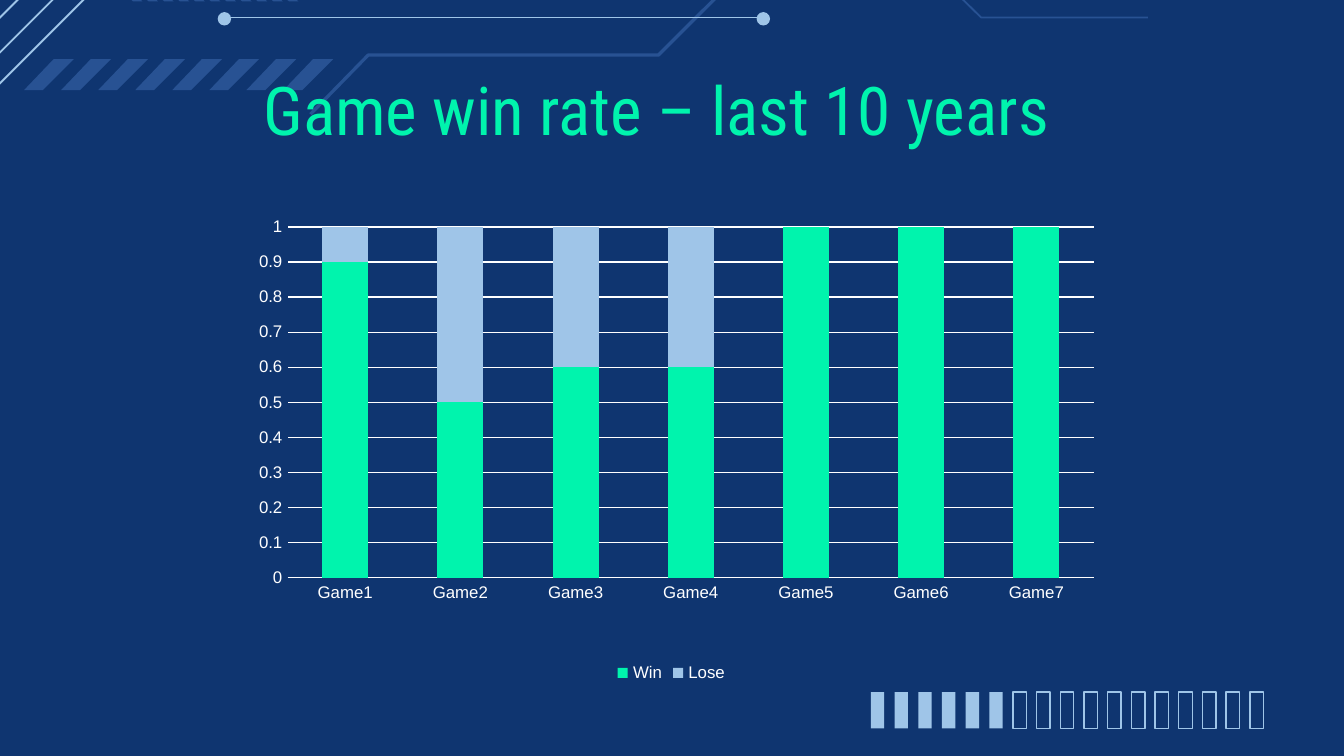
from dataclasses import dataclass

from lxml import etree
from pptx import Presentation
from pptx import util as u
from pptx.chart.data import CategoryChartData
from pptx.dml.color import RGBColor
from pptx.enum import chart as ch
from pptx.enum import shapes, text
from pptx.oxml.ns import qn

Inches = u.Inches


@dataclass(frozen=True)
class Theme:
    navy: RGBColor = RGBColor(0x0F, 0x35, 0x70)
    blue: RGBColor = RGBColor(0x28, 0x52, 0x93)
    sky: RGBColor = RGBColor(0x9F, 0xC5, 0xE8)
    green: RGBColor = RGBColor(0x00, 0xF4, 0xAD)
    white: RGBColor = RGBColor(0xFF, 0xFF, 0xFF)
    title_font: str = "Roboto Condensed"
    chart_font: str = "Arial"
    title_size: u.Pt = u.Pt(36)
    chart_size: u.Pt = u.Pt(10)
    label_size: u.Pt = u.Pt(9)
    hairline: u.Pt = u.Pt(0.75)
    thin: u.Pt = u.Pt(1)
    thick: u.Pt = u.Pt(1.75)


THEME = Theme()


def spread(first, last, count):
    """Equally spaced positions from first to last."""
    return [first + i * (last - first) / (count - 1) for i in range(count)]


def paint(shape, fill=None, line=None, width=None):
    shape.shadow.inherit = False
    if fill is None:
        shape.fill.background()
    else:
        shape.fill.solid()
        shape.fill.fore_color.rgb = fill
    if line is None:
        shape.line.fill.background()
    else:
        shape.line.color.rgb = line
        shape.line.width = width


def add_outline(slide, points, closed):
    points = [(Inches(x), Inches(y)) for x, y in points]
    builder = slide.shapes.build_freeform(*points[0])
    builder.add_line_segments(points[1:], close=closed)
    return builder.convert_to_shape()


def add_circuit(slide, points, color, width):
    paint(add_outline(slide, points, closed=False), line=color, width=width)


def add_row(slide, outline, offsets, color):
    """Repeat one filled outline at each horizontal offset."""
    for dx in offsets:
        moved = [(x + dx, y) for x, y in outline]
        paint(add_outline(slide, moved, closed=True), fill=color)


def add_line(slide, start, end, color, width):
    line = slide.shapes.add_connector(
        shapes.MSO_CONNECTOR.STRAIGHT, *map(Inches, start + end))
    line.line.color.rgb = color
    line.line.width = width
    etree.SubElement(line._element.spPr, qn("a:effectLst"))


def add_header_decor(slide):
    # Circuit traces
    add_circuit(slide, [(-0.19, 0.81), (1.27, -0.65), (2.59, -0.65), (3.14, -0.1),
                        (4.49, -0.1), (5.29, -0.9), (6.04, -0.9)], THEME.sky, THEME.thin)
    add_circuit(slide, [(2.31, 0.85), (2.74, 0.41), (4.9, 0.41), (5.46, -0.15),
                        (6.46, -0.15)], THEME.blue, THEME.thick)
    add_circuit(slide, [(8.54, 0.13), (7.3, 0.13), (6.78, -0.38), (5.85, -0.38)],
                THEME.blue, THEME.thin)

    # Bar with a dot at each end
    add_line(slide, (1.66, 0.13), (5.65, 0.13), THEME.sky, THEME.thin)
    for left in (5.63, 1.62):
        dot = slide.shapes.add_shape(shapes.MSO_SHAPE.OVAL, Inches(left), Inches(0.09),
                                     Inches(0.1), Inches(0.1))
        paint(dot, fill=THEME.sky)

    # Diagonals in the corner
    add_line(slide, (-0.43, 0.82), (1.05, -0.66), THEME.sky, THEME.thin)
    add_line(slide, (-0.61, 0.74), (0.87, -0.74), THEME.sky, THEME.thin)

    # Slashes and chevrons
    slash = [(0.14, 0.67), (0.37, 0.44), (0.22, 0.44), (0, 0.67)]
    add_row(slide, slash, spread(0.18, 2.11, 8), THEME.blue)
    chevron = [(0.19, 0.01), (0.07, -0.09), (0.18, -0.19),
               (0.1, -0.19), (0, -0.09), (0.12, 0.01)]
    add_row(slide, chevron, spread(2.03, 0.87, 11), THEME.blue)


def add_progress_cells(slide, filled=6, total=17):
    for i, left in enumerate(spread(6.48, 9.3, total)):
        cell = slide.shapes.add_shape(shapes.MSO_SHAPE.RECTANGLE, Inches(left), Inches(5.15),
                                      Inches(0.1), Inches(0.27))
        if i < filled:
            paint(cell, fill=THEME.sky)
        else:
            paint(cell, line=THEME.sky, width=THEME.hairline)


def set_title(slide, wording):
    title = slide.shapes.title
    title.left, title.top = Inches(0.79), Inches(0.51)
    title.width, title.height = Inches(8.43), Inches(0.53)
    frame = title.text_frame
    frame.text = wording
    frame.word_wrap = True
    frame.auto_size = text.MSO_AUTO_SIZE.NONE
    frame.vertical_anchor = text.MSO_ANCHOR.TOP
    frame.margin_left = frame.margin_top = frame.margin_bottom = 0
    frame.margin_right = Inches(0.24)
    heading = frame.paragraphs[0]
    heading.alignment = text.PP_ALIGN.CENTER
    style_font(heading.runs[0].font, THEME.title_font, THEME.title_size, THEME.green)
    # Bring the title in front of the decoration
    slide.shapes._spTree.append(title._element)


def style_font(font, name, size, color):
    font.name, font.size = name, size
    font.color.rgb = color


def place_plot(chart, x, y, w, h):
    """Fix the inner plot area as fractions of the chart."""
    plot_area = chart._chartSpace.chart.plotArea
    for old in plot_area.findall(qn("c:layout")):
        plot_area.remove(old)
    layout = etree.Element(qn("c:layout"))
    manual = etree.SubElement(layout, qn("c:manualLayout"))
    settings = {"layoutTarget": "inner", "xMode": "edge", "yMode": "edge",
                "x": x, "y": y, "w": w, "h": h}
    for tag, value in settings.items():
        etree.SubElement(manual, qn(f"c:{tag}")).set("val", str(value))
    plot_area.insert(0, layout)


def add_win_chart(slide, games, results):
    width, height = 6.71, 4.21
    data = CategoryChartData()
    data.categories = games
    for name, (rates, _) in results.items():
        data.add_series(name, rates)
    chart = slide.shapes.add_chart(
        ch.XL_CHART_TYPE.COLUMN_STACKED, Inches(1.64), Inches(0.91),
        Inches(width), Inches(height), data).chart
    chart.has_title = False
    style_font(chart.font, THEME.chart_font, THEME.chart_size, THEME.white)

    # Columns
    plot = chart.plots[0]
    plot.gap_width, plot.overlap = 150, 100
    plot.vary_by_categories = False
    for series, (_, color) in zip(plot.series, results.values()):
        series.format.fill.solid()
        series.format.fill.fore_color.rgb = color

    # Axes and legend
    games_axis, rate_axis = chart.category_axis, chart.value_axis
    rate_axis.minimum_scale, rate_axis.maximum_scale = 0, 1
    rate_axis.major_unit = 0.1
    rate_axis.has_major_gridlines = True
    for axis in (games_axis, rate_axis):
        axis.major_tick_mark = axis.minor_tick_mark = ch.XL_TICK_MARK.NONE
    for line in (games_axis.format.line, rate_axis.major_gridlines.format.line):
        line.color.rgb = THEME.white
        line.width = THEME.hairline
    rate_axis.format.line.fill.background()
    chart.has_legend = True
    chart.legend.position = ch.XL_LEGEND_POSITION.BOTTOM
    chart.legend.include_in_layout = False
    for font in (games_axis.tick_labels.font, rate_axis.tick_labels.font, chart.legend.font):
        style_font(font, THEME.chart_font, THEME.label_size, THEME.white)
    place_plot(chart, 0.5 / width, 0.78 / height, 6 / width, 2.61 / height)


def main():
    deck = Presentation()
    # Widescreen, 16 by 9
    deck.slide_width = Inches(10)
    deck.slide_height = deck.slide_width * 9 // 16
    slide = deck.slides.add_slide(deck.slide_layouts[5])
    slide.background.fill.solid()
    slide.background.fill.fore_color.rgb = THEME.navy

    add_header_decor(slide)
    add_progress_cells(slide)
    set_title(slide, "Game win rate – last 10 years")
    add_win_chart(slide, [f"Game{n}" for n in range(1, 8)], {
        "Win": ([0.9, 0.5, 0.6, 0.6, 1, 1, 1], THEME.green),
        "Lose": ([0.1, 0.5, 0.4, 0.4, 0, 0, 0], THEME.sky),
    })
    deck.save("out.pptx")


if __name__ == "__main__":
    main()
